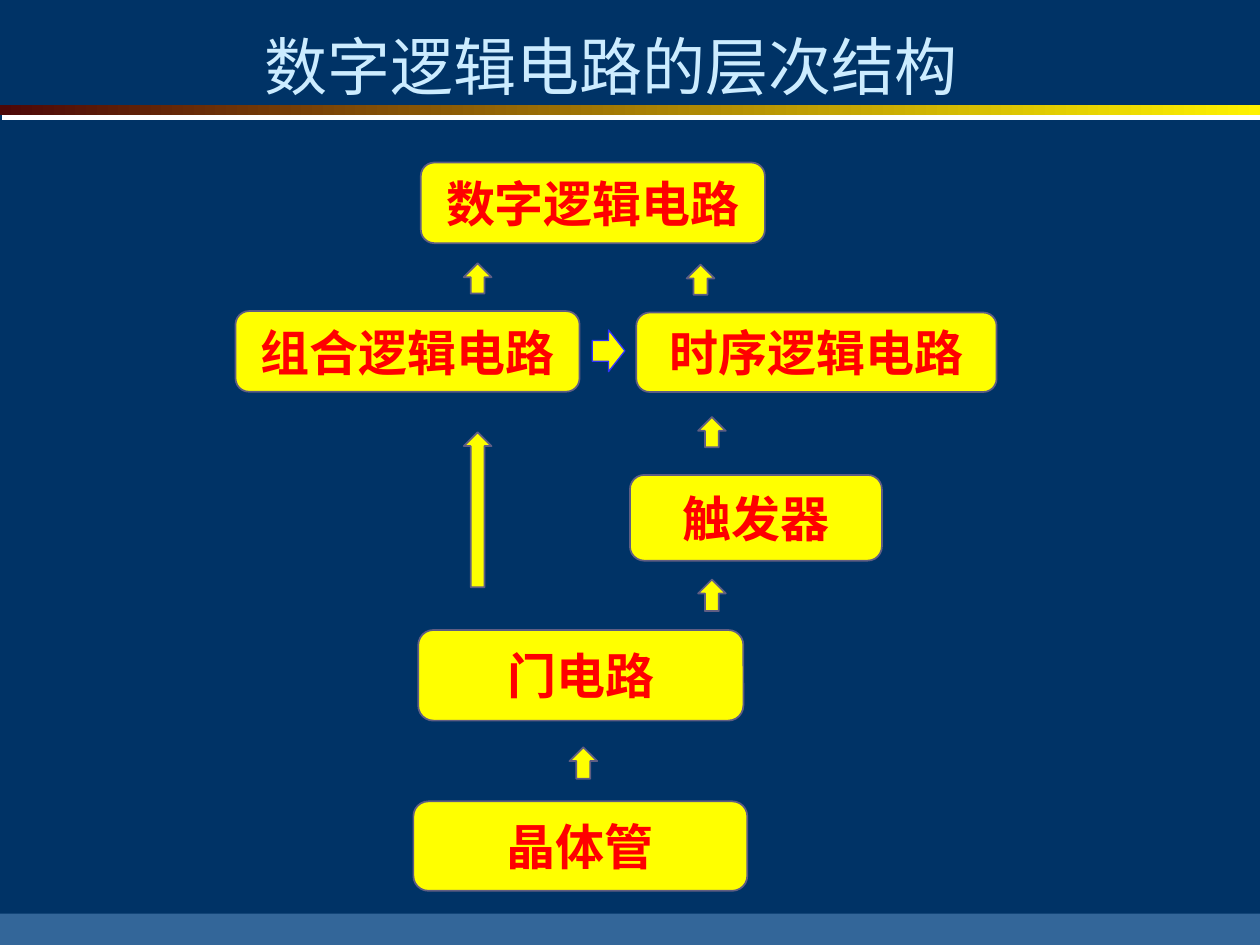
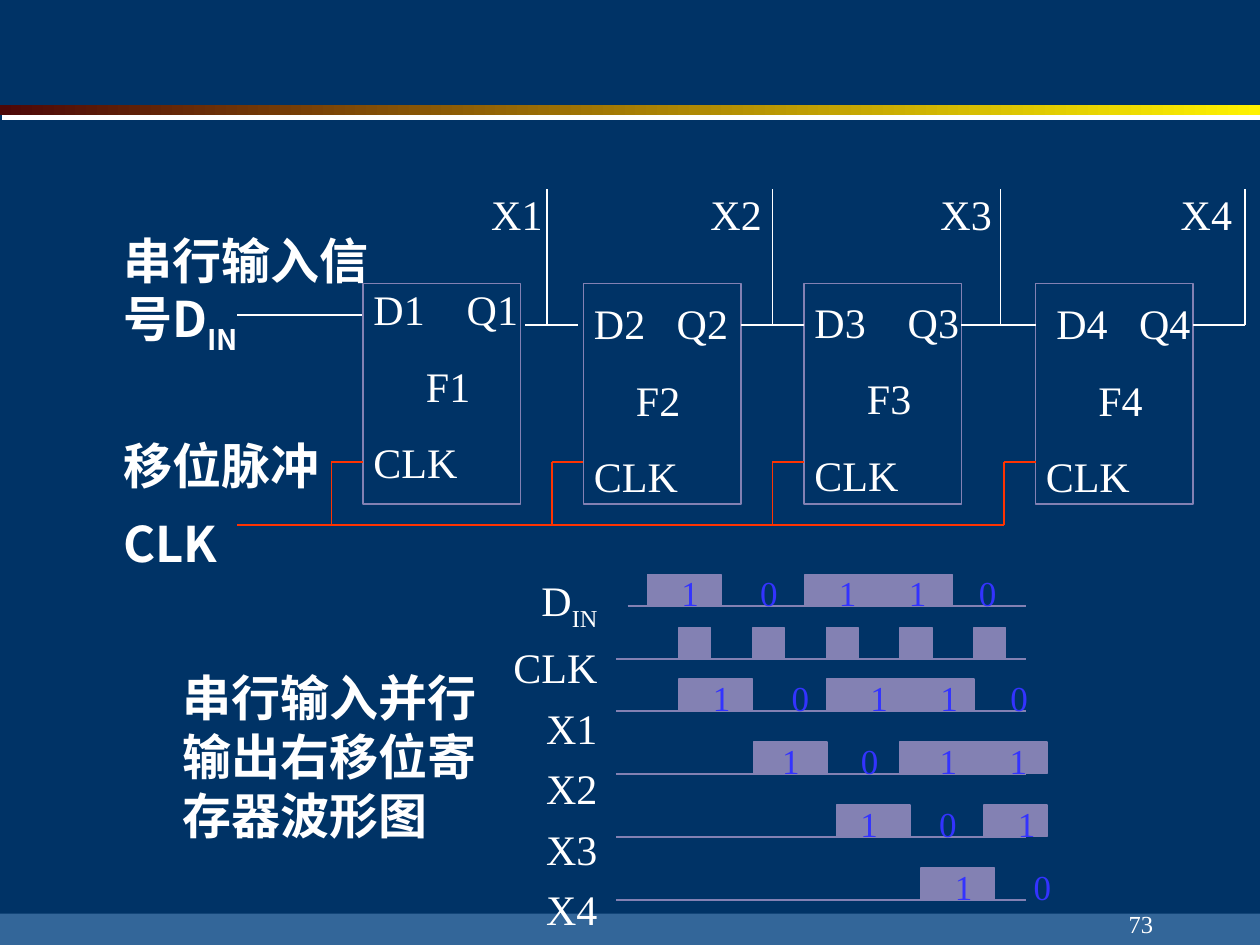
import pptx
import pptx.dml.color
import pptx.enum.shapes
import pptx.enum.text
import pptx.oxml
import pptx.oxml.ns
import pptx.util

Pt = pptx.util.Pt
RGB = pptx.dml.color.RGBColor
SHAPE = pptx.enum.shapes.MSO_SHAPE
ALIGN = pptx.enum.text.PP_ALIGN
ANCHOR = pptx.enum.text.MSO_ANCHOR
qn = pptx.oxml.ns.qn

NAVY = RGB(0x00, 0x33, 0x66)
STEEL = RGB(0x33, 0x66, 0x99)
MAROON = RGB(0x4D, 0x08, 0x08)
GOLD = RGB(0xFF, 0xF2, 0x00)
YELLOW = RGB(0xFF, 0xFF, 0x00)
RED = RGB(0xFF, 0x00, 0x00)
ORANGE = RGB(0xFF, 0x33, 0x00)
BLUE = RGB(0x33, 0x33, 0xFF)
ICE = RGB(0xCC, 0xEC, 0xFF)
WHITE = RGB(0xFF, 0xFF, 0xFF)
SLATE = RGB(0x5F, 0x5D, 0x83)
LILAC = RGB(0x83, 0x81, 0xB3)

TITLE_FONT = "Montserrat"
CJK_FONT = "Noto Sans CJK SC"
SERIF = "Times New Roman"
BIT_TABS = (45, 90, 130, 170)
CLOCK_BUS_Y = 300


def add_xml(parent, tag, **attrs):
    child = pptx.oxml.parse_xml(
        f'<a:{tag} xmlns:a="http://schemas.openxmlformats.org/drawingml/2006/main"/>')
    for name, value in attrs.items():
        child.set(name, str(value))
    parent.append(child)
    return child


def write_text(tf, lines, size=24, color=WHITE, font=SERIF, bold=False,
               align=ALIGN.LEFT, before=0, spacing=None, tabs=()):
    """Fill tf; a line is a string or a (text, subscript) pair.

    tabs holds tab stops in points, or one tuple of stops for each line.
    """
    for i, line in enumerate(lines):
        p = tf.add_paragraph() if i else tf.paragraphs[0]
        p.alignment = align
        p.space_before = Pt(before)
        if spacing:
            p.line_spacing = spacing
        stops = tabs[i] if tabs and isinstance(tabs[0], tuple) else tabs
        if stops:
            tab_list = add_xml(p._p.get_or_add_pPr(), "tabLst")
            for stop in stops:
                add_xml(tab_list, "tab", pos=int(Pt(stop)), algn="l")
        for j, text in enumerate((line,) if isinstance(line, str) else line):
            r = p.add_run()
            r.text = text
            r.font.size = Pt(size)
            r.font.bold = bold
            r.font.name = font
            r.font.color.rgb = color
            rpr = r._r.get_or_add_rPr()
            add_xml(rpr, "ea", typeface=CJK_FONT)
            if j:
                rpr.set("baseline", "-25000")


class Deck:
    """Holds the shared style and the slide being drawn."""

    def __init__(self):
        self.prs = pptx.Presentation()
        self.prs.slide_width = Pt(720)
        self.prs.slide_height = Pt(540)
        self.s = None

    def new_slide(self):
        self.s = self.prs.slides.add_slide(self.prs.slide_layouts[6])
        self.s.background.fill.solid()
        self.s.background.fill.fore_color.rgb = NAVY
        self.shape(SHAPE.RECTANGLE, 0, 522, 720, 18, fill=STEEL)
        band = self.shape(SHAPE.RECTANGLE, 0, 60, 720, 5.5)
        band.fill.gradient()
        band.fill.gradient_angle = 0
        for stop, color in zip(band.fill.gradient_stops, (MAROON, GOLD)):
            stop.color.rgb = color
        effects = band._element.spPr.find(qn("a:effectLst"))
        shadow = add_xml(effects, "outerShdw", dist=int(Pt(3.2)),
                         dir=72 * 60000, algn="ctr", rotWithShape=0)
        add_xml(shadow, "srgbClr", val=WHITE)

    def shape(self, kind, x, y, w, h, fill=None, line=None, width=1):
        sp = self.s.shapes.add_shape(kind, Pt(x), Pt(y), Pt(w), Pt(h))
        sp.shadow.inherit = False
        if fill is None:
            sp.fill.background()
        else:
            sp.fill.solid()
            sp.fill.fore_color.rgb = fill
        if line is None:
            sp.line.fill.background()
        else:
            sp.line.color.rgb = line
            sp.line.width = Pt(width)
        return sp

    def line(self, x1, y1, x2, y2, color, width=1):
        cx = self.s.shapes.add_connector(
            pptx.enum.shapes.MSO_CONNECTOR.STRAIGHT, Pt(x1), Pt(y1), Pt(x2), Pt(y2))
        cx.line.color.rgb = color
        cx.line.width = Pt(width)
        add_xml(cx._element.spPr, "effectLst")

    def text(self, x, y, w, h, *lines, anchor=ANCHOR.TOP, inset=True, **fmt):
        tf = self.s.shapes.add_textbox(Pt(x), Pt(y), Pt(w), Pt(h)).text_frame
        tf.word_wrap = True
        tf.vertical_anchor = anchor
        if not inset:
            tf.margin_left = tf.margin_right = tf.margin_top = tf.margin_bottom = 0
        write_text(tf, lines, **fmt)

    def level_box(self, label, x, y, w, h):
        sp = self.shape(SHAPE.FLOWCHART_ALTERNATE_PROCESS, x, y, w, h, YELLOW, SLATE)
        sp.text_frame.word_wrap = True
        sp.text_frame.vertical_anchor = ANCHOR.MIDDLE
        write_text(sp.text_frame, [label], size=28, color=RED, font=TITLE_FONT,
                   bold=True, align=ALIGN.CENTER)

    def up_arrow(self, x, y, h):
        self.shape(SHAPE.UP_ARROW, x, y, 15.84, h, YELLOW, SLATE)

    def flip_flop(self, n, x, text_x, text_y, tabs):
        self.text(text_x, text_y, 90, 117, f"\tD{n}\tQ{n}", f"\tF{n}",
                  "CLK" if n == 4 else "\tCLK", inset=False, before=15, tabs=tabs)
        self.shape(SHAPE.RECTANGLE, x, 162, 90, 126, line=LILAC)
        self.line(x, 264, x - 18, 264, ORANGE, 0.75)
        self.line(x - 18, 264, x - 18, CLOCK_BUS_Y, ORANGE)

    def waveform(self, base, start, pulses, bits="", bits_x=0):
        """Draw pulses, given as (x, width), on a base line with their bits."""
        for x, w in pulses:
            self.shape(SHAPE.RECTANGLE, x, base - 18, w, 18, LILAC, LILAC)
        self.line(start, base, 586.1, base, LILAC)
        if bits:
            self.text(bits_x, base - 23, 45 * len(bits) + 14, 31.7, "\t".join(bits),
                      size=20, color=BLUE, before=12.5, tabs=BIT_TABS[:len(bits) - 1])


def hierarchy_slide(deck):
    deck.new_slide()
    deck.text(25.2, 12.2, 648, 51.1, "数字逻辑电路的层次结构", size=36, color=ICE,
              font=TITLE_FONT, align=ALIGN.CENTER)
    for box in (("数字逻辑电路", 240.5, 92.9, 196.6, 46.1),
                ("组合逻辑电路", 134.6, 177.8, 196.6, 46.1),
                ("时序逻辑电路", 363.6, 178.6, 205.9, 45.4),
                ("触发器", 360, 271.4, 144, 49),
                ("门电路", 239, 360, 185.8, 51.8),
                ("晶体管", 236.2, 457.9, 190.8, 51.1)):
        deck.level_box(*box)
    for arrow in ((265, 150.5, 17.3), (392.4, 151.2, 17.3), (265, 247, 88.6),
                  (398.9, 238.3, 17.3), (398.9, 331.2, 18), (325.4, 427, 18)):
        deck.up_arrow(*arrow)
    deck.shape(SHAPE.RIGHT_ARROW, 338.4, 188.6, 18.7, 23.8, YELLOW, BLUE, 0.75)


def shift_register_slide(deck):
    deck.new_slide()
    deck.text(516.2, 504, 149.8, 36, "73", size=14, align=ALIGN.RIGHT,
              anchor=ANCHOR.BOTTOM)

    heading = dict(size=28, bold=True, before=17.5)
    deck.text(63.4, 131.8, 174.2, 72, ("串行输入信号D", "IN"), font=CJK_FONT,
              spacing=0.9, **heading)
    deck.text(63.4, 252, 138.2, 78.5, "移位脉冲", "CLK", font=CJK_FONT,
              spacing=0.8, **heading)
    deck.text(97.2, 378, 198, 108, "串行输入并行输出右移位寄存器波形图", **heading)
    deck.text(273.6, 104.4, 437.8, 36, "X1\tX2\tX3\tX4", before=15,
              tabs=(125.3, 256.7, 394))

    deck.line(207.4, 180, 135.4, 180, WHITE, 0.75)
    deck.line(573.8, CLOCK_BUS_Y, 135.4, CLOCK_BUS_Y, ORANGE, 0.75)
    wide = ((6, 59.3), (36,), (6,))
    narrow = ((6, 53.3), (30,), (6,))
    for n, flip_flop in enumerate(((207.4, 207.4, 162, wide),
                                   (333.4, 333.4, 170, narrow),
                                   (459.4, 459.4, 169.2, wide),
                                   (591.8, 597.6, 170, narrow)), 1):
        deck.flip_flop(n, *flip_flop)
    for left, tap, right in ((300.2, 312.5, 330.5), (423.4, 441.4, 459.4),
                             (549.4, 571.7, 591.8), (681.8, 711.4, 711.4)):
        deck.line(left, 185.8, right, 185.8, WHITE)
        deck.line(tap, 185.8, tap, 108, WHITE)

    clock = [(388.1 + 42.12 * i, 18) for i in range(5)]
    deck.waveform(346.3, 358.6, [(370.1, 42), (460.1, 42), (502.3, 42)], "10110", 382.3)
    deck.waveform(376.6, 352.1, clock)
    for row, (pulses, bits, bits_x) in enumerate((
            ([(388.1, 42), (472.3, 84.2)], "10110", 400.3),
            ([(430.6, 42), (514.1, 84.2)], "1011", 439.9),
            ([(478.1, 42), (562.3, 36)], "101", 484.6),
            ([(526.3, 42)], "10", 538.6))):
        deck.waveform(406.1 + 36 * row, 352.1, pulses, bits, bits_x)
    deck.text(276.5, 318.2, 72, 219.6, ("D", "IN"), "CLK", "X1", "X2", "X3", "X4",
              align=ALIGN.RIGHT, spacing=1.2)


def main():
    deck = Deck()
    hierarchy_slide(deck)
    shift_register_slide(deck)
    deck.prs.save("out.pptx")


if __name__ == "__main__":
    main()
